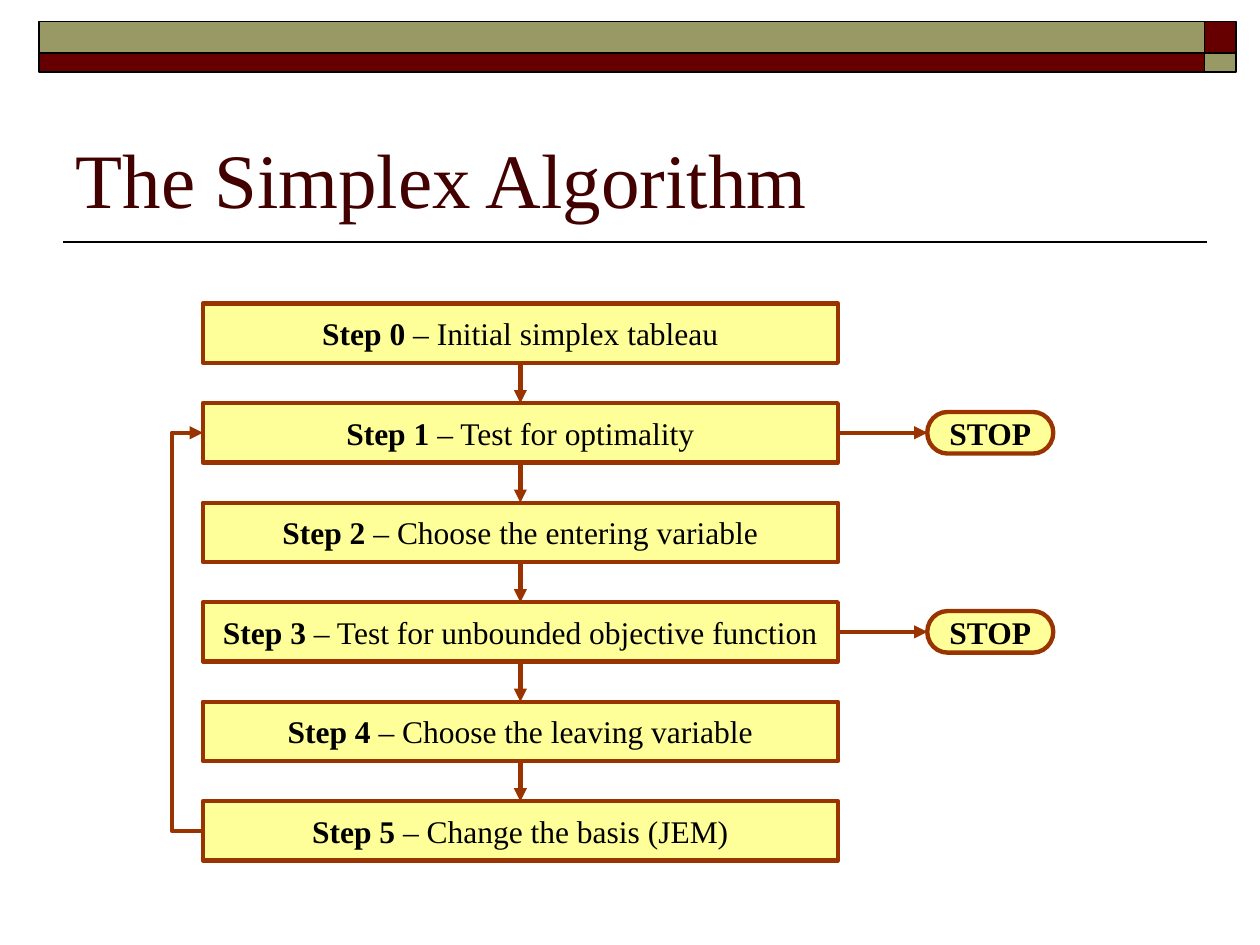
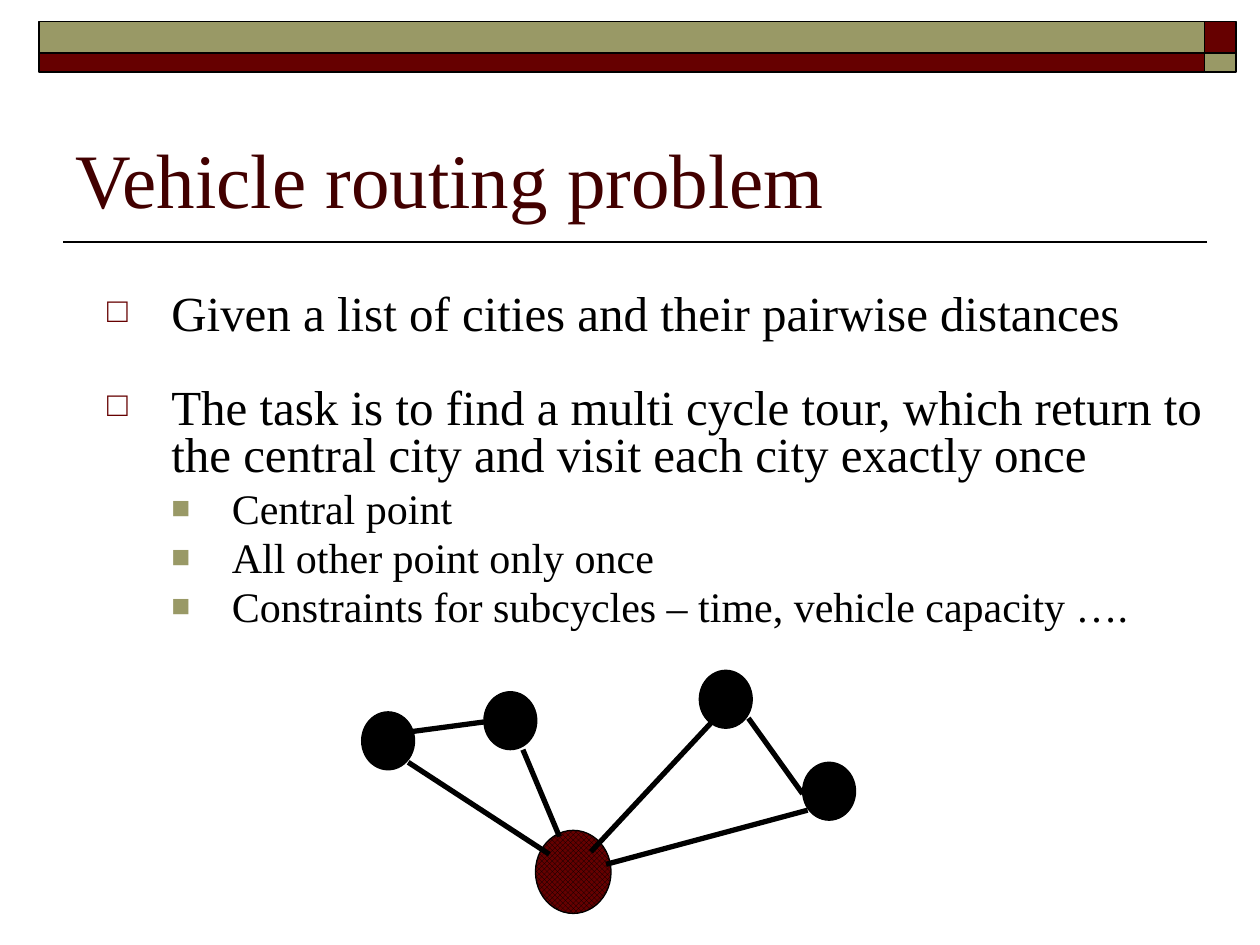
from lxml.etree import SubElement as Sub
from pptx import Presentation
from pptx.dml.color import RGBColor
from pptx.enum.dml import MSO_PATTERN
from pptx.enum.shapes import MSO_CONNECTOR as Link, MSO_SHAPE as Kind
from pptx.enum.text import MSO_ANCHOR as Anchor, MSO_AUTO_SIZE as Fit, PP_ALIGN as Align
from pptx.oxml.ns import qn
from pptx.util import Inches, Pt

FONT = "Times New Roman"
HEX = {"ink": "000000", "title": "420000", "wine": "660000", "olive": "999966",
       "rust": "993300", "cream": "FFFF99"}
WIDE, HIGH = 10, 7.5

# Top band: two columns by two rows
COLS = [(0.31, 9.25), (9.56, 0.25)]
ROWS = [(0.17, 0.25), (0.42, 0.15)]
BAND = [["olive", "wine"], ["wine", "olive"]]

STEPS = ["Initial simplex tableau", "Test for optimality",
         "Choose the entering variable", "Test for unbounded objective function",
         "Choose the leaving variable", "Change the basis (JEM)"]
STOPS = [1, 3]
LOOP = (5, 1)

# Level, text, space before
POINTS = [(0, "Given a list of cities and their pairwise distances", 0),
          (0, "The task is to find a multi cycle tour, which return to "
              "the central city and visit each city exactly once", 27),
          (1, "Central point", 6),
          (1, "All other point only once", 5),
          (1, "Constraints for subcycles – time, vehicle capacity ….", 5)]
# Bullet, colour, size in percent, text size, indent, hanging
LEVELS = [("□", "wine", 70, 28, 0.51, 0.51),
          ("■", "olive", 75, 24, 0.99, 0.48)]

CITY, DEPOT = (0.42, 0.46), (4.25, 6.59, 0.6, 0.66)
CITIES = [(2.87, 5.65), (3.84, 5.49), (5.55, 5.32), (6.37, 6.05)]
ROADS = [(3.24, 5.81, 3.84, 5.73), (3.24, 6.05, 4.36, 6.78),
         (4.15, 5.95, 4.44, 6.64), (4.69, 6.76, 5.65, 5.73),
         (5.94, 5.7, 6.37, 6.3), (6.41, 6.43, 4.81, 6.86)]


def tint(name):
    return RGBColor.from_string(HEX[name])


def write(para, text, size=18, color="ink", bold=False):
    run = para.add_run()
    run.text = text
    font = run.font
    font.name, font.size, font.bold = FONT, Pt(size), bold
    font.color.rgb = tint(color)


def draw(slide, kind, box, fill, edge="ink", width=1):
    item = slide.shapes.add_shape(kind, *map(Inches, box))
    item.shadow.inherit = False
    item.fill.solid()
    item.fill.fore_color.rgb = tint(fill)
    item.line.color.rgb = tint(edge)
    item.line.width = Pt(width)
    return item


def join(slide, ends, color="ink", width=1, kind=Link.STRAIGHT, arrow=False):
    line = slide.shapes.add_connector(kind, *map(Inches, ends))
    line.line.color.rgb = tint(color)
    line.line.width = Pt(width)
    if arrow:
        Sub(line.line._get_or_add_ln(), qn("a:tailEnd"), type="triangle")
    Sub(line._element.spPr, qn("a:effectLst"))
    return line


def place(item, *box):
    item.left, item.top, item.width, item.height = map(Inches, box)


def start(deck, layout, title):
    """Add a slide with the rule, the band and its title."""
    slide = deck.slides.add_slide(deck.slide_layouts[layout])
    join(slide, (9.58, 1.92, 0.5, 1.92))
    for (top, high), fills in zip(ROWS, BAND):
        for (left, wide), fill in zip(COLS, fills):
            draw(slide, Kind.RECTANGLE, (left, top, wide, high), fill)
    head = slide.shapes.title
    place(head, 0.5, 0.58, 9, 1.25)
    frame = head.text_frame
    frame.auto_size, frame.vertical_anchor = Fit.NONE, Anchor.BOTTOM
    frame.paragraphs[0].alignment = Align.LEFT
    write(frame.paragraphs[0], title, size=44, color="title")
    return slide


def block(slide, kind, box, bold, rest=""):
    """Draw one flowchart block with centred text."""
    item = draw(slide, kind, box, "cream", "rust", 2.5)
    frame = item.text_frame
    frame.word_wrap, frame.vertical_anchor = False, Anchor.MIDDLE
    para = frame.paragraphs[0]
    para.alignment = Align.CENTER
    write(para, bold, bold=True)
    if rest:
        write(para, rest)
    return item


def arrow(slide, a, out, b, into):
    line = join(slide, (0, 0, 1, 1), "rust", 2.5, arrow=True)
    line.begin_connect(a, out)
    line.end_connect(b, into)


def simplex(deck):
    slide = start(deck, 5, "The Simplex Algorithm")
    left, top, wide, high, pitch = 1.61, 2.41, 5.04, 0.47, 0.79

    def mid(row):
        return top + row * pitch + high / 2

    boxes = [block(slide, Kind.FLOWCHART_PROCESS,
                   (left, top + row * pitch, wide, high),
                   f"Step {row}", f" – {text}")
             for row, text in enumerate(STEPS)]
    for a, b in zip(boxes, boxes[1:]):
        arrow(slide, a, 2, b, 0)
    for row in STOPS:
        stop = block(slide, Kind.FLOWCHART_TERMINATOR,
                     (7.36, mid(row) - 0.33 / 2, 1, 0.33), "STOP")
        arrow(slide, boxes[row], 3, stop, 1)
    last, first = LOOP
    gap, reach = 0.01, 0.24
    loop = join(slide, (left - gap, mid(last), left, mid(first)),
                "rust", 2.5, Link.ELBOW, arrow=True)
    loop_geom = loop._element.spPr.find(qn("a:prstGeom"))
    guides = loop_geom.find(qn("a:avLst"))
    Sub(guides, qn("a:gd"), name="adj1", fmla=f"val {round(-reach / gap * 100000)}")


def bullet(para, sign, color, share, indent, hang):
    props = para._p.get_or_add_pPr()
    props.set("marL", str(Inches(indent)))
    props.set("indent", str(-Inches(hang)))
    Sub(Sub(props, qn("a:buClr")), qn("a:srgbClr"), val=HEX[color])
    Sub(props, qn("a:buSzPct"), val=str(share * 1000))
    Sub(props, qn("a:buFont"), typeface=FONT)
    Sub(props, qn("a:buChar"), char=sign)


def routing(deck):
    slide = start(deck, 1, "Vehicle routing problem")
    body = slide.placeholders[1]
    place(body, 0.75, 2.28, 9.25, 2.96)
    frame = body.text_frame
    frame.auto_size = Fit.NONE
    for i, (level, text, gap) in enumerate(POINTS):
        para = frame.add_paragraph() if i else frame.paragraphs[0]
        sign, color, share, size, indent, hang = LEVELS[level]
        para.level, para.line_spacing, para.space_before = level, 0.8, Pt(gap)
        bullet(para, sign, color, share, indent, hang)
        write(para, text, size=size)
    for spot in CITIES:
        draw(slide, Kind.OVAL, spot + CITY, "ink", width=0.75)
    depot = draw(slide, Kind.OVAL, DEPOT, "wine", width=0.75)
    depot.fill.patterned()
    depot.fill.pattern = MSO_PATTERN.TRELLIS
    depot.fill.fore_color.rgb = tint("ink")
    depot.fill.back_color.rgb = tint("wine")
    for ends in ROADS:
        join(slide, ends, width=3)


def main():
    deck = Presentation()
    deck.slide_width, deck.slide_height = Inches(WIDE), Inches(HIGH)
    simplex(deck)
    routing(deck)
    deck.save("out.pptx")


if __name__ == "__main__":
    main()
